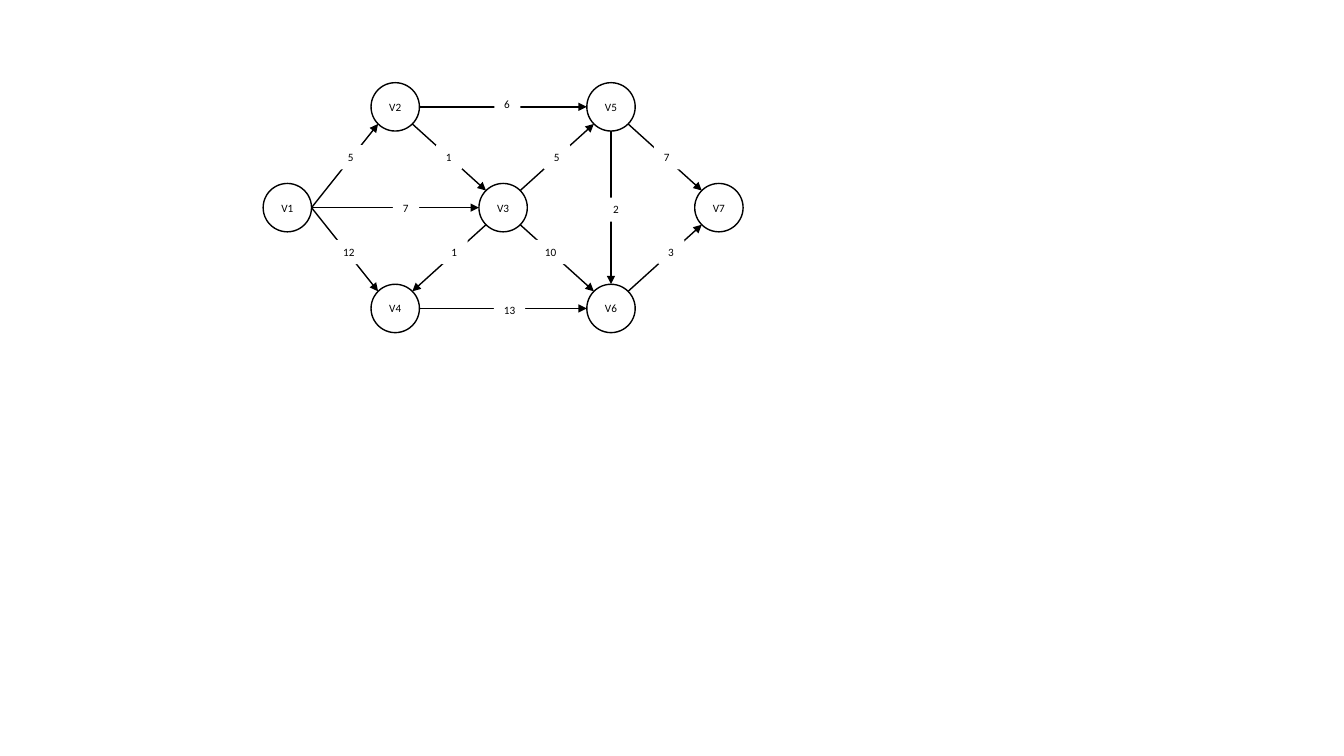
"""Draw a weighted directed graph with seven vertices."""
from math import cos, pi, sin

from lxml import etree
from pptx import Presentation
from pptx.dml.color import RGBColor
from pptx.enum.shapes import MSO_CONNECTOR, MSO_SHAPE
from pptx.enum.text import MSO_ANCHOR, MSO_AUTO_SIZE, PP_ALIGN
from pptx.oxml.ns import qn
from pptx.util import Inches, Pt

BLACK = RGBColor(0, 0, 0)
WHITE = RGBColor(255, 255, 255)
OVAL = MSO_SHAPE.OVAL
STRAIGHT = MSO_CONNECTOR.STRAIGHT
MIDDLE, TOP = MSO_ANCHOR.MIDDLE, MSO_ANCHOR.TOP
CENTER, LEFT = PP_ALIGN.CENTER, PP_ALIGN.LEFT
FIT_SHAPE = MSO_AUTO_SIZE.SHAPE_TO_FIT_TEXT

ORIGIN_X, ORIGIN_Y = 2.85, 1.06
COLUMN, ROW = 1.07, 1.0
DIAMETER = 0.48
LABEL_HEIGHT = 0.24

TOP_SITE, TOP_LEFT, LEFT_SITE, BOTTOM_LEFT = range(4)
BOTTOM, BOTTOM_RIGHT, RIGHT, TOP_RIGHT = range(4, 8)

VERTICES = {
    "V2": (1, 0), "V4": (1, 2), "V3": (2, 1), "V1": (0, 1),
    "V7": (4, 1), "V5": (3, 0), "V6": (3, 2),
}
EDGES = [
    ("V1", RIGHT, "V2", BOTTOM_LEFT, "5", (0.59, 0.5)),
    ("V1", RIGHT, "V3", LEFT_SITE, "7", (1.1, 1.01)),
    ("V1", RIGHT, "V4", TOP_LEFT, "12", (0.57, 1.44)),
    ("V2", RIGHT, "V5", LEFT_SITE, "6", (2.04, -0.02)),
    ("V4", RIGHT, "V6", LEFT_SITE, "13", (2.06, 2.02)),
    ("V3", TOP_RIGHT, "V5", BOTTOM_LEFT, "5", (2.5, 0.5)),
    ("V3", BOTTOM_LEFT, "V4", TOP_RIGHT, "1", (1.55, 1.44)),
    ("V5", BOTTOM_RIGHT, "V7", TOP_LEFT, "7", (3.52, 0.5)),
    ("V6", TOP_RIGHT, "V7", BOTTOM_LEFT, "3", (3.56, 1.44)),
    ("V3", BOTTOM_RIGHT, "V6", TOP_LEFT, "10", (2.44, 1.44)),
    ("V5", BOTTOM, "V6", TOP_SITE, "2", (3.05, 1.02)),
    ("V2", BOTTOM_RIGHT, "V3", TOP_LEFT, "1", (1.5, 0.5)),
]


def grid_point(column, row):
    """Return the slide position of a grid point in inches."""
    return ORIGIN_X + column * COLUMN, ORIGIN_Y + row * ROW


def centred_box(column, row, width, height):
    """Return left, top, width and height around a grid point."""
    x, y = grid_point(column, row)
    return [Inches(v) for v in (x - width / 2, y - height / 2, width, height)]


def site_point(vertex, site):
    """Return the point of a connection site on a vertex circle."""
    x, y = grid_point(*VERTICES[vertex])
    angle = site * pi / 4
    radius = DIAMETER / 2
    return Inches(x - radius * sin(angle)), Inches(y - radius * cos(angle))


def write_text(frame, text, size=8, font="Calibri", color=BLACK,
               align=LEFT, anchor=TOP):
    """Write one formatted paragraph into a text frame."""
    frame.vertical_anchor = anchor
    paragraph = frame.paragraphs[0]
    paragraph.alignment = align
    run = paragraph.add_run()
    run.text = text
    run.font.size = Pt(size)
    run.font.name = font
    run.font.color.rgb = color


def add_vertex(shapes, name):
    """Add an outlined circle with the vertex name."""
    vertex = shapes.add_shape(
        OVAL, *centred_box(*VERTICES[name], DIAMETER, DIAMETER))
    vertex.shadow.inherit = False
    vertex.fill.background()
    vertex.line.color.rgb = BLACK
    vertex.line.width = Pt(1)
    frame = vertex.text_frame
    frame.margin_left = frame.margin_right = 0
    write_text(frame, name, align=CENTER, anchor=MIDDLE)
    return vertex


def add_edge(shapes, circles, start, start_site, end, end_site):
    """Add an arrow attached to two vertices."""
    edge = shapes.add_connector(
        STRAIGHT, *site_point(start, start_site), *site_point(end, end_site))
    edge.line.color.rgb = BLACK
    edge.line.width = Pt(1)
    etree.SubElement(edge.line._get_or_add_ln(), qn("a:tailEnd"),
                     type="triangle")
    etree.SubElement(edge._element.spPr, qn("a:effectLst"))
    glue = edge._element.find(".//" + qn("p:cNvCxnSpPr"))
    for tag, vertex, site in (("a:stCxn", start, start_site),
                              ("a:endCxn", end, end_site)):
        etree.SubElement(glue, qn(tag), id=str(circles[vertex].shape_id),
                         idx=str(site))


def add_weight(shapes, weight, place):
    """Add an edge weight on a white box that interrupts the edge."""
    width = 0.21 + 0.05 * len(weight)
    label = shapes.add_textbox(*centred_box(*place, width, LABEL_HEIGHT))
    label.fill.solid()
    label.fill.fore_color.rgb = WHITE
    label.text_frame.word_wrap = False
    label.text_frame.auto_size = FIT_SHAPE
    write_text(label.text_frame, weight)


def main():
    """Build the slide and save it."""
    deck = Presentation()
    deck.slide_width, deck.slide_height = Inches(13.33), Inches(7.5)
    slide = deck.slides.add_slide(deck.slide_layouts[6])
    graph = slide.shapes.add_group_shape().shapes
    circles = {name: add_vertex(graph, name) for name in VERTICES}
    for *ends, _, _ in EDGES:
        add_edge(graph, circles, *ends)
    for *_, weight, place in EDGES:
        add_weight(graph, weight, place)
    deck.save("out.pptx")


main()
